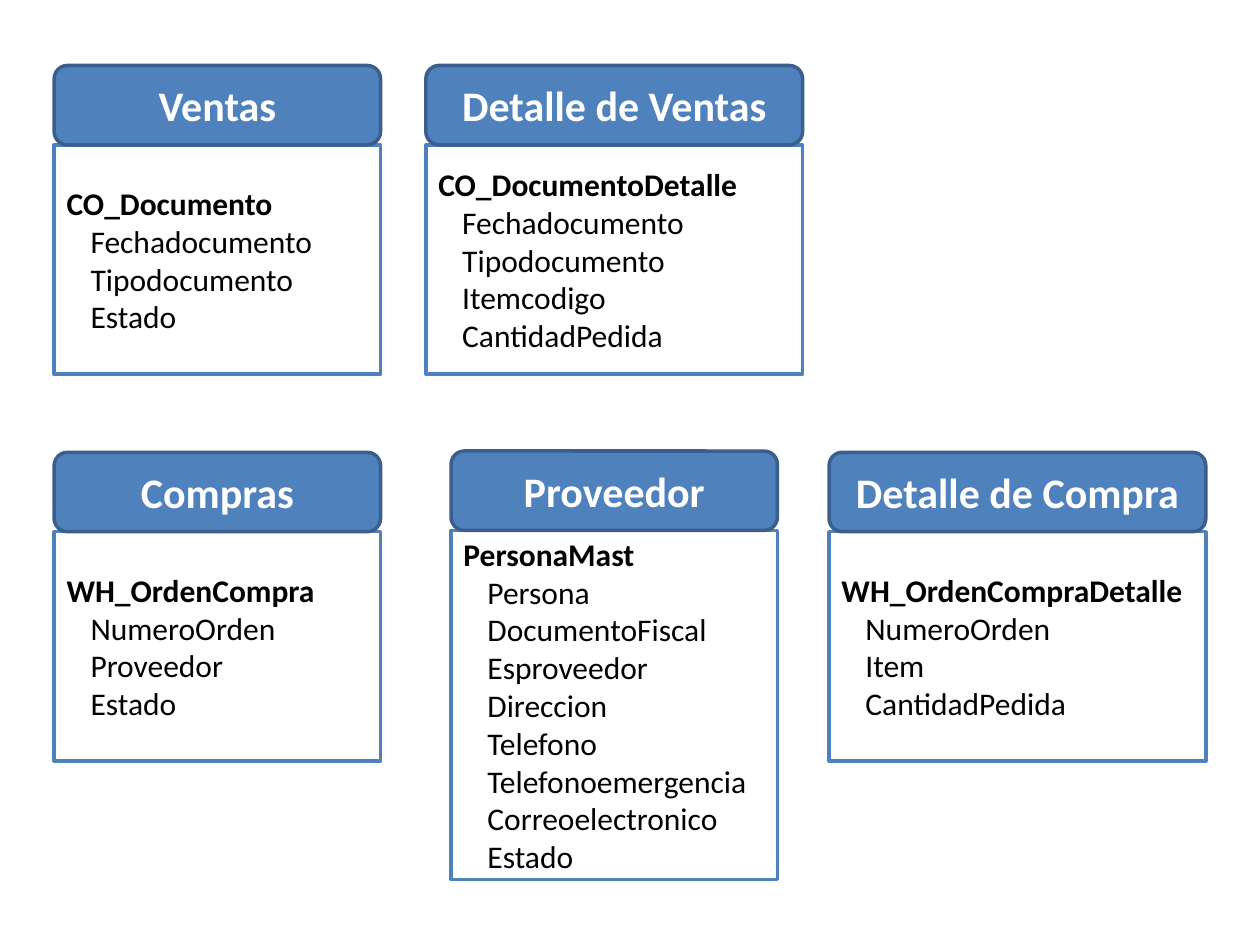
from pptx import Presentation
from pptx.dml.color import RGBColor
from pptx.enum.shapes import MSO_SHAPE
from pptx.enum.text import MSO_ANCHOR, PP_ALIGN
from pptx.util import Inches, Pt

RECTANGLE = MSO_SHAPE.RECTANGLE
ROUNDED = MSO_SHAPE.FLOWCHART_ALTERNATE_PROCESS
MIDDLE = MSO_ANCHOR.MIDDLE
LEFT, CENTER = PP_ALIGN.LEFT, PP_ALIGN.CENTER

FONT = "Calibri"
BLUE, DARK_BLUE, WHITE, BLACK = "4F81BD", "3A5F8C", "FFFFFF", "000000"
HEADER_HEIGHT = 0.63
FIELD_INDENT = 0.19
NARROW, WIDE = 2.59, 2.99
SHORT, TALL = 1.82, 2.77

ENTITIES = [
    ("Compras", (0.43, 3.59, NARROW, SHORT), "WH_OrdenCompra",
     ["NumeroOrden", "Proveedor", "Estado"]),
    ("Detalle de Compra", (6.58, 3.59, WIDE, SHORT), "WH_OrdenCompraDetalle",
     ["NumeroOrden", "Item", "CantidadPedida"]),
    ("Ventas", (0.43, 0.52, NARROW, SHORT), "CO_Documento",
     ["Fechadocumento", "Tipodocumento", "Estado"]),
    ("Detalle de Ventas", (3.38, 0.52, WIDE, SHORT), "CO_DocumentoDetalle",
     ["Fechadocumento", "Tipodocumento", "Itemcodigo", "CantidadPedida"]),
    ("Proveedor", (3.58, 3.58, NARROW, TALL), "PersonaMast",
     ["Persona", "DocumentoFiscal", "Esproveedor", "Direccion", "Telefono",
      "Telefonoemergencia", "Correoelectronico", "Estado"]),
]


def color(value):
    """Return the colour for a hex string."""
    return RGBColor.from_string(value)


def add_box(page, kind, bounds, fill, line):
    """Add a filled, outlined shape with vertically centred text."""
    box = page.shapes.add_shape(kind, *(Inches(length) for length in bounds))
    box.shadow.inherit = False
    box.fill.solid()
    box.fill.fore_color.rgb = color(fill)
    box.line.color.rgb = color(line)
    box.line.width = Pt(2)
    box.text_frame.word_wrap = True
    box.text_frame.vertical_anchor = MIDDLE
    return box


def format_paragraph(para, alignment, size, ink, bold):
    """Set the alignment of a paragraph and the font of its runs."""
    para.alignment = alignment
    for span in para.runs:
        span.font.name = FONT
        span.font.size = Pt(size)
        span.font.bold = bold
        span.font.color.rgb = color(ink)


def add_fields(page, bounds, table_name, fields):
    """Add the body listing a table name and its indented fields."""
    box = add_box(page, RECTANGLE, bounds, WHITE, BLUE)
    box.text_frame.text = "\n".join([table_name, *fields])
    for index, para in enumerate(box.text_frame.paragraphs):
        is_name = index == 0
        format_paragraph(para, LEFT, 18, BLACK, is_name)
        para.level = 1
        properties = para._p.get_or_add_pPr()
        properties.set("marL", str(Inches(0 if is_name else FIELD_INDENT)))
        properties.set("indent", "0")


def add_header(page, bounds, title):
    """Add the rounded title bar of an entity."""
    box = add_box(page, ROUNDED, bounds, BLUE, DARK_BLUE)
    box.text_frame.text = title
    format_paragraph(box.text_frame.paragraphs[0], CENTER, 24, WHITE, True)


def add_entity(page, title, bounds, table_name, fields):
    """Add an entity whose body hangs below its title bar."""
    left, top, width, body_height = bounds
    body = (left, top + HEADER_HEIGHT, width, body_height)
    add_fields(page, body, table_name, fields)
    add_header(page, (left, top, width, HEADER_HEIGHT), title)


def main():
    """Build the deck with its single page of entities."""
    deck = Presentation()
    deck.slide_width, deck.slide_height = Inches(10), Inches(7.5)
    page = deck.slides.add_slide(deck.slide_layouts[6])
    for entity in ENTITIES:
        add_entity(page, *entity)
    deck.save("out.pptx")


if __name__ == "__main__":
    main()
